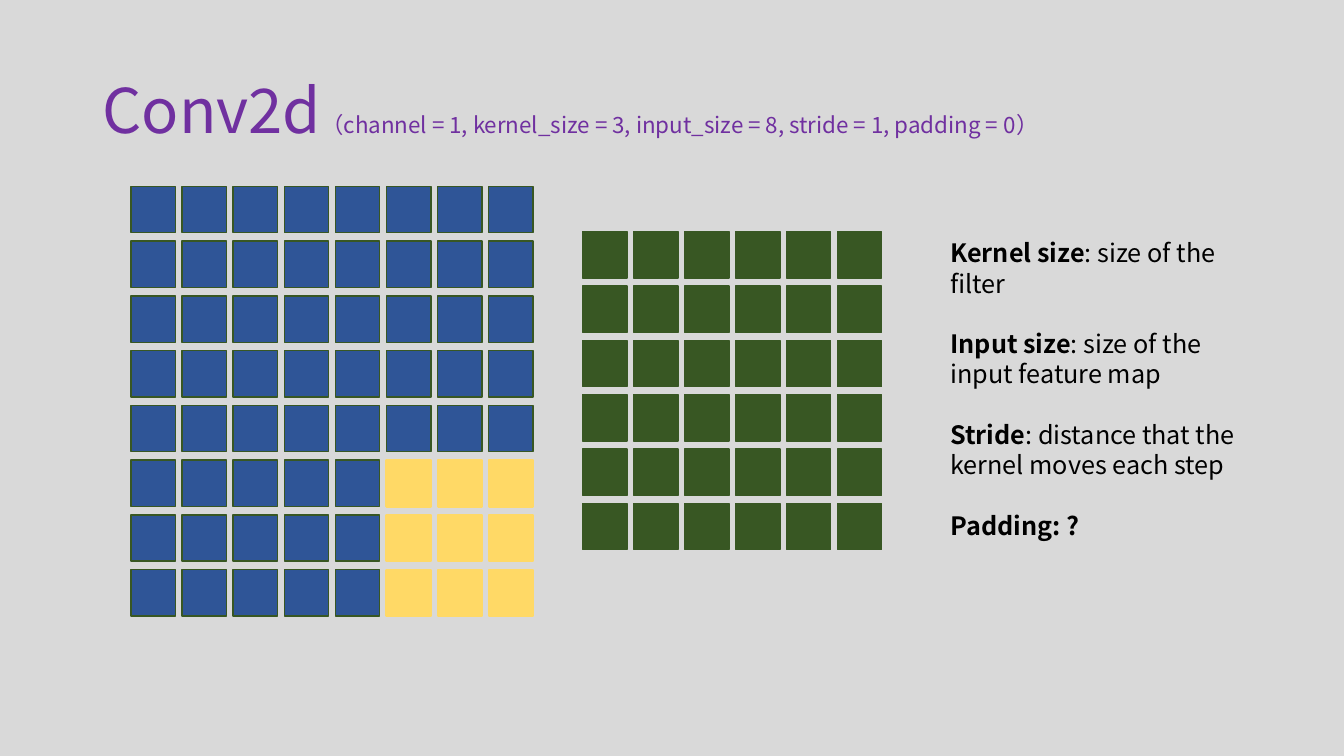
from pptx import Presentation
from pptx import util as u
from pptx.dml.color import RGBColor
from pptx.enum import shapes, text

COLOURS = {
    "background": "D9D9D9",
    "title": "7030A0",
    "body": "000000",
    "input": "2F5597",
    "kernel": "FFD966",
    "output": "385723",
}
FONT = "Noto Sans CJK SC"
INPUT_SIZE = 8
KERNEL_SIZE = 3
OUTPUT_SIZE = INPUT_SIZE - KERNEL_SIZE + 1
CELL_WIDTH, CELL_HEIGHT = 31.7, 33.1
LINE_HEIGHT = 21.6


def colour(name):
    return RGBColor.from_string(COLOURS[name])


class SlideBuilder:
    def __init__(self, deck):
        self.page = deck.slides.add_slide(deck.slide_layouts[5])
        fill = self.page.background.fill
        fill.solid()
        fill.fore_color.rgb = colour("background")

    def span(self, para, words, size, ink, bold=False):
        span = para.add_run()
        span.text = words
        span.font.name = FONT
        span.font.size = u.Pt(size)
        span.font.bold = bold
        span.font.color.rgb = colour(ink)

    def title(self, left, top, width, height, parts):
        box = self.page.shapes.title
        box.left, box.top = u.Pt(left), u.Pt(top)
        box.width, box.height = u.Pt(width), u.Pt(height)
        box.text_frame.vertical_anchor = text.MSO_ANCHOR.MIDDLE
        box.text_frame.word_wrap = True
        para = box.text_frame.paragraphs[0]
        para.alignment = text.PP_ALIGN.LEFT
        para.line_spacing = 0.9
        for words, size in parts:
            self.span(para, words, size, "title")

    def cell(self, left, top, fill, line, weight):
        box = self.page.shapes.add_shape(
            shapes.MSO_SHAPE.RECTANGLE,
            u.Pt(left), u.Pt(top), u.Pt(CELL_WIDTH), u.Pt(CELL_HEIGHT))
        box.shadow.inherit = False
        box.fill.solid()
        box.fill.fore_color.rgb = colour(fill)
        box.line.color.rgb = colour(line)
        box.line.width = u.Pt(weight)

    def grid(self, left, top, size, pitch_x, pitch_y, fill, kernel_from=None):
        for row in range(size):
            for column in range(size):
                x, y = left + column * pitch_x, top + row * pitch_y
                if kernel_from is not None and min(row, column) >= kernel_from:
                    self.cell(x, y, "kernel", "kernel", 1.5)
                else:
                    self.cell(x, y, fill, "output", 1)

    def definitions(self, left, top, width, height, entries):
        box = self.page.shapes.add_textbox(
            u.Pt(left), u.Pt(top), u.Pt(width), u.Pt(height))
        frame = box.text_frame
        frame.word_wrap = True
        for index, (term, meaning) in enumerate(entries):
            para = frame.add_paragraph() if index else frame.paragraphs[0]
            para.line_spacing = u.Pt(LINE_HEIGHT)
            para.space_before = u.Pt(LINE_HEIGHT if index else 0)
            self.span(para, term, 18, "body", bold=True)
            if meaning:
                self.span(para, meaning, 18, "body")


def main():
    deck = Presentation()
    deck.slide_width, deck.slide_height = u.Pt(960), u.Pt(540)
    slide = SlideBuilder(deck)

    # Title with the layer's parameters
    slide.title(66, 28.8, 828, 104.4, [
        ("Conv2d", 44),
        ("（channel = 1, kernel_size = 3, input_size = 8, "
         "stride = 1, padding = 0）", 16),
    ])

    # Input map, with the kernel at its last position
    slide.grid(93.6, 133.2, INPUT_SIZE, 36.5, 39.1, "input",
               kernel_from=INPUT_SIZE - KERNEL_SIZE)

    # Output map
    slide.grid(416.2, 165.6, OUTPUT_SIZE, 36.4, 38.8, "output")

    # Definitions of the parameters
    slide.definitions(671.8, 166.3, 238.3, 203.8, [
        ("Kernel size", ": size of the filter"),
        ("Input size", ": size of the input feature map"),
        ("Stride", ": distance that the kernel moves each step"),
        ("Padding: ?", ""),
    ])

    deck.save("out.pptx")


if __name__ == "__main__":
    main()
